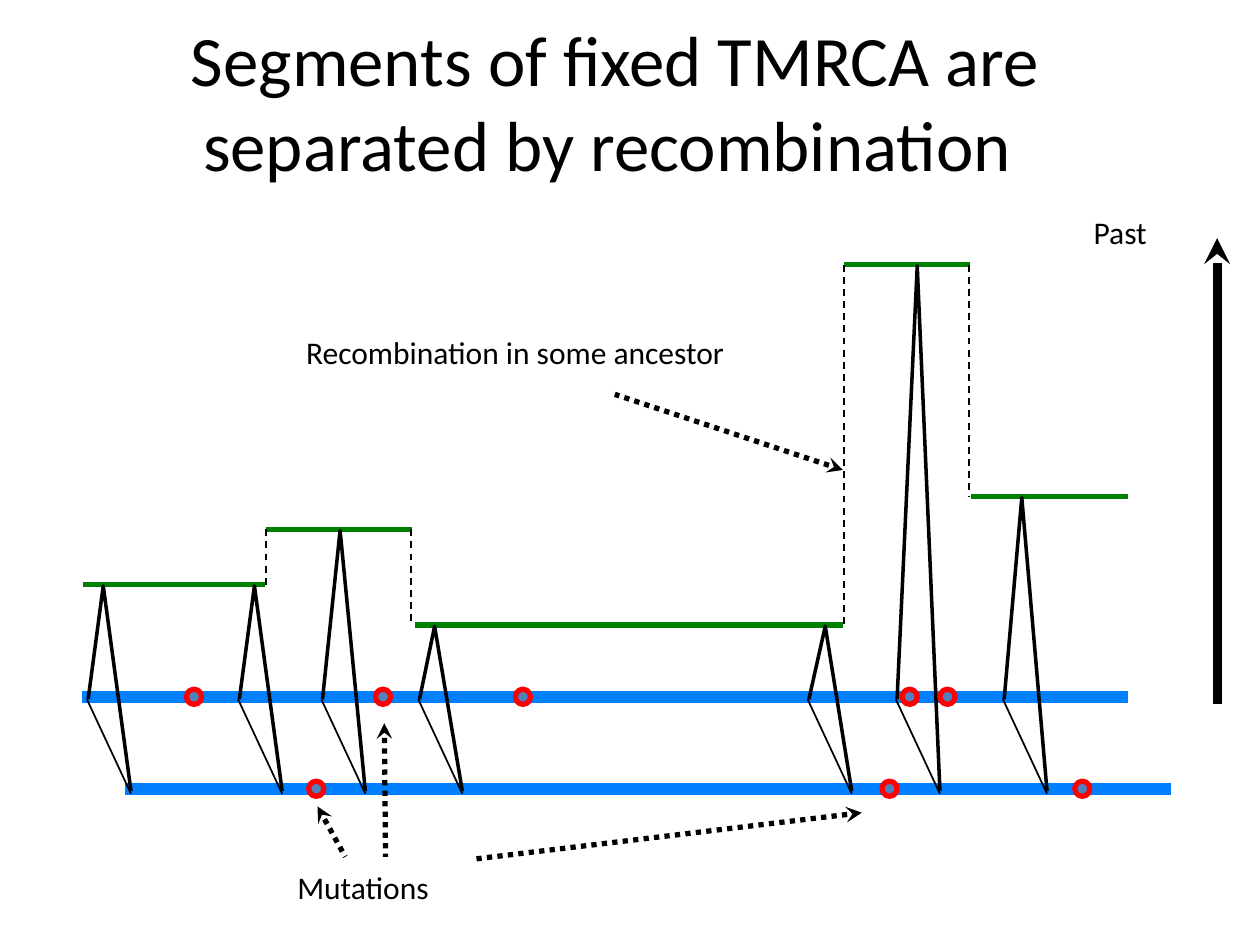
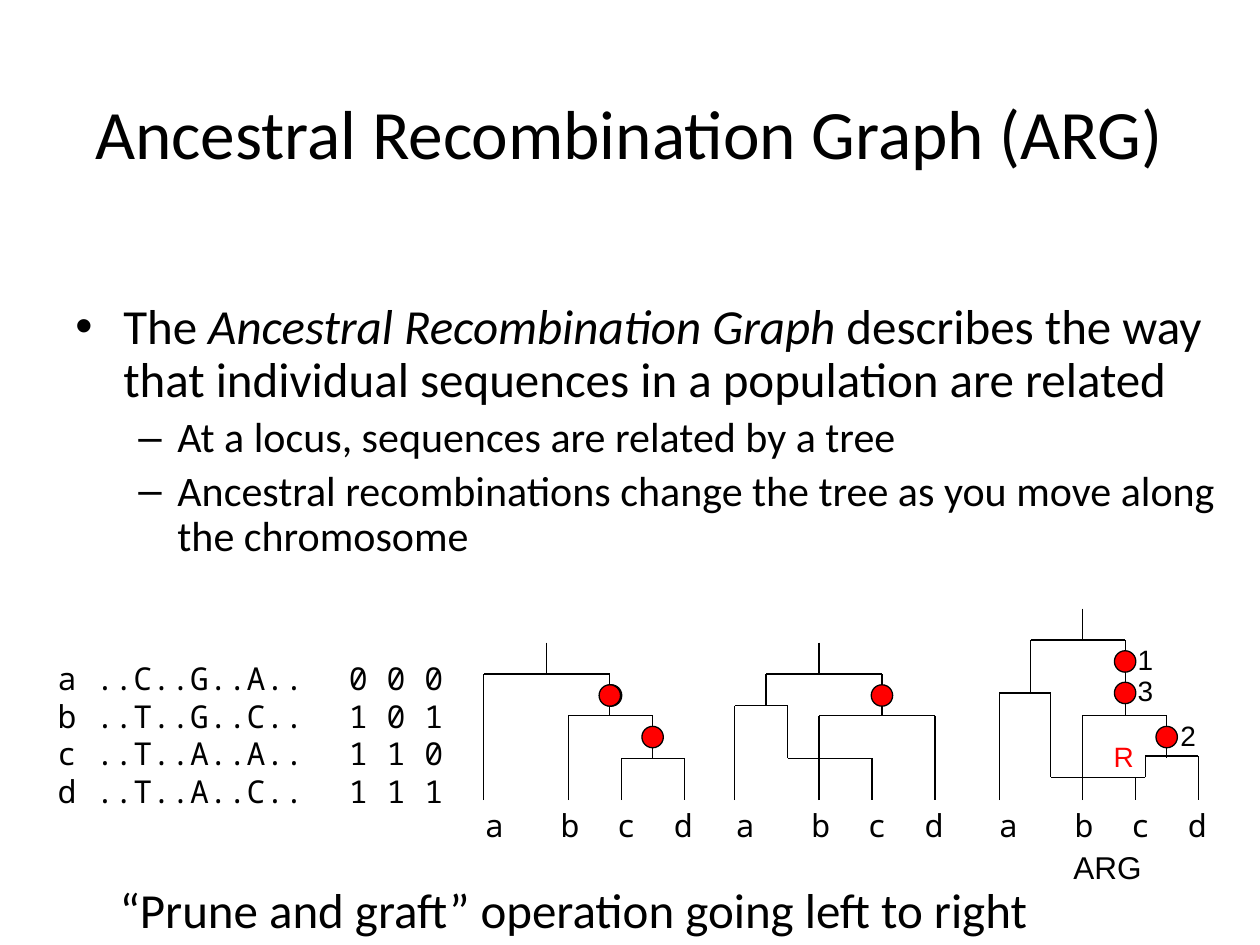
from dataclasses import dataclass
from itertools import pairwise
from typing import NamedTuple

from lxml import etree
from pptx import Presentation
from pptx.dml.color import RGBColor
from pptx.enum.dml import MSO_LINE
from pptx.enum.shapes import MSO_CONNECTOR, MSO_SHAPE
from pptx.enum.text import MSO_ANCHOR, MSO_AUTO_SIZE, PP_ALIGN
from pptx.oxml.ns import qn
from pptx.util import Inches, Pt

STRAIGHT = MSO_CONNECTOR.STRAIGHT
OVAL = MSO_SHAPE.OVAL
DASH = MSO_LINE.DASH
DOTTED = MSO_LINE.ROUND_DOT
MIDDLE = MSO_ANCHOR.MIDDLE
TOP = MSO_ANCHOR.TOP
CENTER = PP_ALIGN.CENTER
LEFT = PP_ALIGN.LEFT
GROW = MSO_AUTO_SIZE.SHAPE_TO_FIT_TEXT


@dataclass(frozen=True)
class Theme:
    black: RGBColor = RGBColor(0x00, 0x00, 0x00)
    red: RGBColor = RGBColor(0xFF, 0x00, 0x00)
    chromosome: RGBColor = RGBColor(0x00, 0x80, 0xFF)
    segment: RGBColor = RGBColor(0x00, 0x80, 0x00)
    site: RGBColor = RGBColor(0x4F, 0x81, 0xBD)
    sans: str = "Calibri"
    mono: str = "Noto Sans Mono"
    label_face: str = "Arial"
    body: float = 28
    sub_body: float = 24
    label: float = 18
    mark: float = 16
    thin: float = 0.75


THEME = Theme()


class Point(NamedTuple):
    x: float
    y: float


class Box(NamedTuple):
    left: float
    top: float
    width: float
    height: float

    def lengths(self) -> tuple:
        return tuple(Inches(value) for value in self)


class Style(NamedTuple):
    size: float = THEME.label
    face: str = THEME.sans
    color: RGBColor = THEME.black


class Stroke(NamedTuple):
    color: RGBColor = THEME.black
    width: float = THEME.thin
    dash: object = None


class Segment(NamedTuple):
    left: float
    right: float
    age: float


class Genealogy(NamedTuple):
    left: float
    peak: float
    segment: int


class Tree(NamedTuple):
    branches: list
    mutations: list
    leaves_left: float


MONO = Style(face=THEME.mono)
MARK = Style(THEME.mark, THEME.label_face)


def apply_style(paragraph, style: Style) -> None:
    paragraph.font.size = Pt(style.size)
    paragraph.font.name = style.face
    paragraph.font.color.rgb = style.color


def apply_stroke(line, stroke: Stroke) -> None:
    line.color.rgb = stroke.color
    line.width = Pt(stroke.width)
    if stroke.dash is not None:
        line.dash_style = stroke.dash


def add_text(slide, box: Box, lines: list[str], style: Style = Style(), anchor=TOP,
             align=LEFT, wrap: bool = False, inset: bool = True):
    shape = slide.shapes.add_textbox(*box.lengths())
    frame = shape.text_frame
    frame.word_wrap = wrap
    frame.vertical_anchor = anchor
    if not wrap:
        frame.auto_size = GROW
    if not inset:
        frame.margin_left = frame.margin_right = frame.margin_top = frame.margin_bottom = 0
    frame.text = "\n".join(lines)
    for paragraph in frame.paragraphs:
        paragraph.alignment = align
        apply_style(paragraph, style)
    return shape


def add_title(slide, box: Box, text: str, size: float) -> None:
    add_text(slide, box, [text], Style(size), MIDDLE, CENTER, wrap=True)


def add_line(slide, start: Point, end: Point, stroke: Stroke = Stroke()):
    connector = slide.shapes.add_connector(
        STRAIGHT, *(Inches(value) for value in (*start, *end)))
    etree.SubElement(connector._element.spPr, qn("a:effectLst"))
    apply_stroke(connector.line, stroke)
    return connector


def add_arrow(slide, tip: Point, base: Point, stroke: Stroke) -> None:
    connector = add_line(slide, tip, base, stroke)
    line = connector.line._get_or_add_ln()
    etree.SubElement(line, qn("a:headEnd"), type="stealth")


def add_dot(slide, center: Point, size: float, fill: RGBColor, stroke: Stroke) -> None:
    box = Box(center.x - size / 2, center.y - size / 2, size, size)
    dot = slide.shapes.add_shape(OVAL, *box.lengths())
    dot.shadow.inherit = False
    dot.fill.solid()
    dot.fill.fore_color.rgb = fill
    apply_stroke(dot.line, stroke)


def add_outline(slide, points: list[Point], stroke: Stroke) -> None:
    corners = [(Inches(point.x), Inches(point.y)) for point in points]
    builder = slide.shapes.build_freeform(*corners[0])
    builder.add_line_segments(corners[1:], close=False)
    outline = builder.convert_to_shape()
    outline.shadow.inherit = False
    outline.fill.background()
    apply_stroke(outline.line, stroke)


def add_bullet(paragraph, character: str, margin: float, hanging: float) -> None:
    properties = paragraph._p.get_or_add_pPr()
    properties.set("marL", str(Inches(margin)))
    properties.set("indent", str(-Inches(hanging)))
    etree.SubElement(properties, qn("a:buFont"), typeface=THEME.label_face)
    etree.SubElement(properties, qn("a:buChar"), char=character)


def add_leaves(slide, left: float) -> None:
    shape = add_text(slide, Box(left, 6.35, 1.85, 0.4), ["a"], MONO, wrap=True)
    paragraph = shape.text_frame.paragraphs[0]
    paragraph.clear()
    properties = paragraph._p.get_or_add_pPr()
    tabs = etree.Element(qn("a:tabLst"))
    for position in (0.6, 1.05, 1.5):
        etree.SubElement(tabs, qn("a:tab"), pos=str(Inches(position)), algn="l")
    properties.insert(0, tabs)
    paragraph.add_run().text = "a\tb\tc\td"
    apply_style(paragraph, MONO)


def add_tree(slide, tree: Tree) -> None:
    for branch in tree.branches:
        for start, end in pairwise(branch):
            add_line(slide, Point(*start), Point(*end))
    for mutation in tree.mutations:
        add_dot(slide, Point(*mutation), 0.17, THEME.red, Stroke())
    add_leaves(slide, tree.leaves_left)


SEGMENTS = [
    Segment(0.66, 2.1, 4.64), Segment(2.11, 3.27, 4.2), Segment(3.29, 6.69, 4.96),
    Segment(6.7, 7.7, 2.1), Segment(7.71, 8.95, 3.94),
]
GENEALOGIES = [
    Genealogy(0.7, 0.82, 0), Genealogy(1.9, 2.02, 0), Genealogy(2.56, 2.7, 1),
    Genealogy(3.33, 3.45, 2), Genealogy(6.42, 6.55, 2), Genealogy(7.12, 7.28, 3),
    Genealogy(7.97, 8.11, 4),
]
CHROMOSOMES = {5.53: (0.65, [1.54, 3.04, 4.15, 7.52, 7.22]),
               6.26: (0.99, [2.51, 7.06, 8.59])}
MUTATION_ARROWS = [
    (Point(2.52, 6.4), Point(2.74, 6.8)), (Point(3.05, 5.74), Point(3.06, 6.8)),
    (Point(6.84, 6.45), Point(3.75, 6.82)),
]
TREES = [
    Tree([[(4.34, 5.1), (4.34, 5.35)],
          [(3.84, 6.35), (3.84, 5.35), (4.84, 5.35), (4.84, 5.68)],
          [(4.51, 6.35), (4.51, 5.68), (5.18, 5.68), (5.18, 6.02)],
          [(4.93, 6.35), (4.93, 6.02), (5.43, 6.02), (5.43, 6.35)]],
         [(4.85, 5.52), (5.18, 5.85), (4.84, 5.52)], 3.75),
    Tree([[(6.5, 5.1), (6.5, 5.35)],
          [(6.08, 5.6), (6.08, 5.35), (7, 5.35), (7, 5.68)],
          [(5.83, 6.35), (5.83, 5.6), (6.25, 5.6), (6.25, 6.02), (6.92, 6.02), (6.92, 6.35)],
          [(6.5, 6.35), (6.5, 5.68), (7.42, 5.68), (7.42, 6.35)]],
         [(7, 5.52)], 5.74),
    Tree([[(8.59, 4.83), (8.59, 5.08)],
          [(8.18, 5.5), (8.18, 5.08), (8.93, 5.08), (8.93, 5.68)],
          [(7.93, 6.35), (7.93, 5.5), (8.34, 5.5), (8.34, 6.17), (9.09, 6.17),
           (9.09, 6), (9.51, 6), (9.51, 6.35)],
          [(8.59, 6.35), (8.59, 5.68), (9.26, 5.68), (9.26, 6.02)],
          [(9.01, 6.17), (9.01, 6.35)]],
         [(8.93, 5.25), (9.26, 5.85), (8.93, 5.5)], 7.83),
]


def build_segments_slide(slide) -> None:
    add_title(slide, Box(0.19, 0.2, 9.39, 1.19),
              "Segments of fixed TMRCA are\vseparated by recombination ", 40.5)
    add_arrow(slide, Point(9.66, 1.89), Point(9.66, 5.59), Stroke(width=5))
    for height, (left, _) in CHROMOSOMES.items():
        add_line(slide, Point(left, height), Point(left + 8.3, height),
                 Stroke(THEME.chromosome, 7))
    for segment in SEGMENTS:
        add_line(slide, Point(segment.left, segment.age), Point(segment.right, segment.age),
                 Stroke(THEME.segment, 3))
    for left, peak, index in GENEALOGIES:
        add_outline(slide, [Point(left, 5.55), Point(peak, SEGMENTS[index].age + 0.01),
                            Point(left + 0.34, 6.28)], Stroke(width=2))
        add_line(slide, Point(left - 0.01, 5.55), Point(left + 0.34, 6.3), Stroke(width=1))
    for before, after in pairwise(SEGMENTS):
        edge = after.left if after.age < before.age else before.right - 0.01
        ages = sorted((before.age, after.age))
        add_line(slide, Point(edge, ages[0]), Point(edge, ages[1]), Stroke(width=1, dash=DASH))
    for height, (_, sites) in CHROMOSOMES.items():
        for site in sites:
            add_dot(slide, Point(site, height), 0.12, THEME.site, Stroke(THEME.red, 3))
    dotted = Stroke(width=3, dash=DOTTED)
    for tip, base in [*MUTATION_ARROWS, (Point(6.69, 3.73), Point(4.88, 3.13))]:
        add_arrow(slide, tip, base, dotted)
    for text, box in [("Past", Box(8.68, 1.69, 0.43, 0.3)),
                      ("Mutations", Box(2.36, 6.89, 1.06, 0.3)),
                      ("Recombination in some ancestor", Box(2.43, 2.64, 3.37, 0.3))]:
        add_text(slide, box, [text], anchor=MIDDLE, inset=False)


def add_explanation(slide) -> None:
    shape = slide.shapes.add_textbox(*Box(0.5, 2.35, 9.25, 2.58).lengths())
    frame = shape.text_frame
    frame.word_wrap = True
    points = [
        (0, ["The ", "Ancestral Recombination Graph",
             " describes the way that individual sequences in a population are related"]),
        (1, ["At a locus, sequences are related by a tree"]),
        (1, ["Ancestral recombinations change the tree as you move along the chromosome"]),
    ]
    for index, (level, texts) in enumerate(points):
        paragraph = frame.add_paragraph() if index else frame.paragraphs[0]
        paragraph.level = level
        add_bullet(paragraph, *(("–", 0.81, 0.31) if level else ("•", 0.38, 0.38)))
        size = THEME.sub_body if level else THEME.body
        paragraph.line_spacing = 0.9
        paragraph.space_before = Pt(0.2 * size if index else 0)
        apply_style(paragraph, Style(size))
        for position, text in enumerate(texts):
            run = paragraph.add_run()
            run.text = text
            if position == 1:
                run.font.italic = True


def build_graph_slide(slide) -> None:
    add_title(slide, Box(0.33, 0.42, 9.33, 1.25), "Ancestral Recombination Graph (ARG)", 39.6)
    add_explanation(slide)
    add_text(slide, Box(0.36, 5.18, 2.15, 1.3),
             ["a ..C..G..A..", "b ..T..G..C..", "c ..T..A..A..", "d ..T..A..C.."], MONO)
    add_text(slide, Box(2.67, 5.18, 0.95, 1.3), ["0 0 0", "1 0 1", "1 1 0", "1 1 1"], MONO)
    for tree in TREES:
        add_tree(slide, tree)
    for text, left, top in [("1", 8.93, 5.05), ("2", 9.27, 5.65), ("3", 8.93, 5.3)]:
        add_text(slide, Box(left, top, 0.32, 0.37), [text], MARK)
    add_text(slide, Box(8.74, 5.82, 0.36, 0.37), ["R"], MARK._replace(color=THEME.red))
    add_text(slide, Box(8.42, 6.68, 0.74, 0.4), ["ARG"], Style(face=THEME.label_face))
    add_text(slide, Box(0.85, 6.93, 7.51, 0.57),
             ["“Prune and graft” operation going left to right"], Style(THEME.body))


def main() -> None:
    presentation = Presentation()
    presentation.slide_width = Inches(10)
    presentation.slide_height = Inches(7.5)
    blank = presentation.slide_layouts[6]
    for build in (build_segments_slide, build_graph_slide):
        build(presentation.slides.add_slide(blank))
    presentation.save("out.pptx")


if __name__ == "__main__":
    main()
